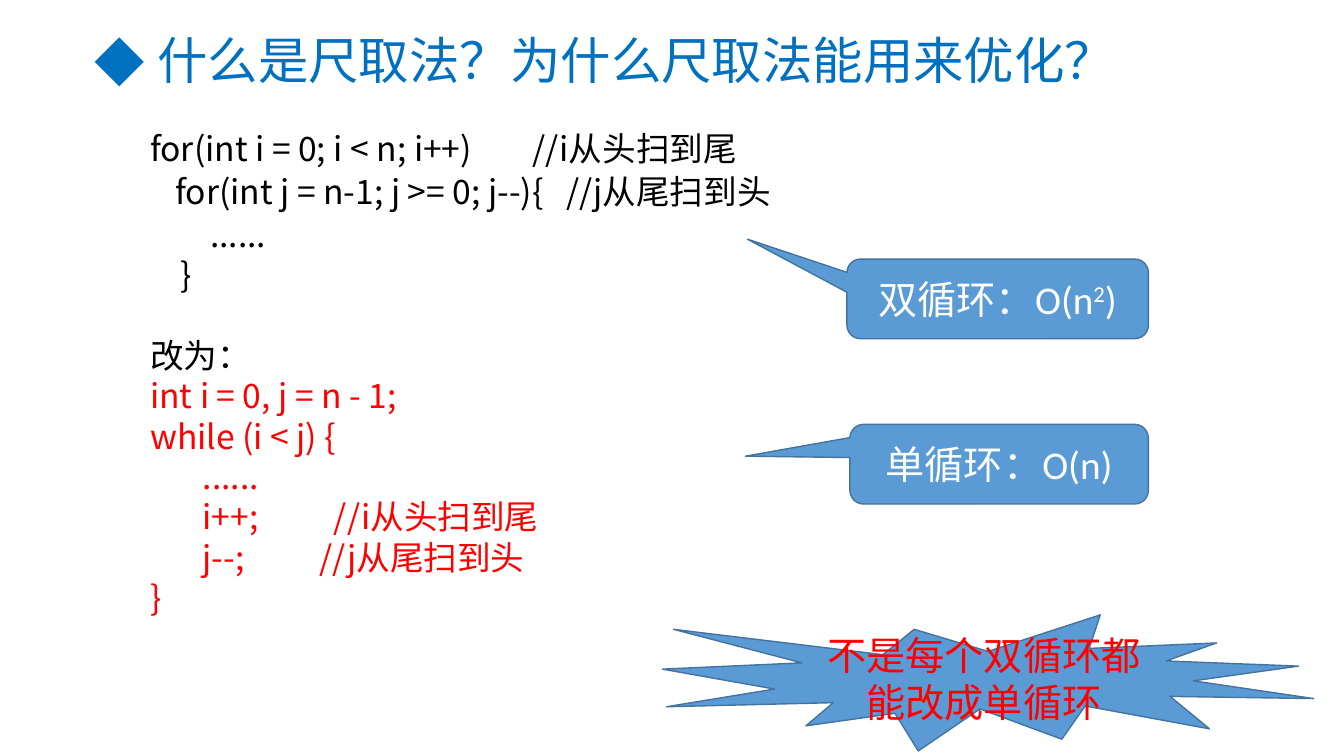
from lxml import etree
from pptx import Presentation
from pptx.dml.color import RGBColor
from pptx.enum.shapes import MSO_SHAPE as SHAPE
from pptx.enum.text import MSO_ANCHOR as ANCHOR, PP_ALIGN as ALIGN
from pptx.oxml.ns import qn
from pptx.util import Inches, Pt

BLUE = RGBColor(0x00, 0x70, 0xC0)
FILL = RGBColor(0x5B, 0x9B, 0xD5)
EDGE = RGBColor(0x43, 0x73, 0x9E)
RED = RGBColor(0xFF, 0x00, 0x00)
BLACK = RGBColor(0x00, 0x00, 0x00)
WHITE = RGBColor(0xFF, 0xFF, 0xFF)

NESTED_LOOP = [
    "for(int i = 0; i < n; i++)        //i从头扫到尾",
    "for(int j = n-1; j >= 0; j--){   //j从尾扫到头",
    "        ......",
]
SINGLE_LOOP = [
    "int i = 0, j = n - 1;",
    "while (i < j) {",
    "       ......",
    "       i++;          //i从头扫到尾",
    "       j--;          //j从尾扫到头",
    "}",
]


def add_run(p, text, size=28, color=WHITE, font="Calibri", baseline=None):
    """Append a formatted run to a paragraph."""
    r = p.add_run()
    r.text = text
    r.font.size = Pt(size)
    r.font.name = font
    r.font.color.rgb = color
    rPr = r.font._element
    etree.SubElement(rPr, qn("a:ea")).set("typeface", "Noto Sans CJK SC")
    if baseline:
        rPr.set("baseline", str(baseline))


class SlideBuilder:
    """Hold the slide and its style, and add each kind of element."""

    def __init__(self, prs):
        self.slide = prs.slides.add_slide(prs.slide_layouts[5])
        self.code_font = "Noto Sans CJK SC"

    def title(self, text):
        """Fill the title placeholder with a diamond-bulleted heading."""
        sp = self.slide.shapes.title
        sp.left, sp.top = Inches(0.84), Inches(0.05)
        sp.width, sp.height = Inches(11.5), Inches(1.15)
        tf = sp.text_frame
        tf.word_wrap = True
        tf.vertical_anchor = ANCHOR.MIDDLE
        p = tf.paragraphs[0]
        p.alignment = ALIGN.LEFT
        p.line_spacing = 0.9
        pPr = p._p.get_or_add_pPr()
        pPr.set("marL", str(Inches(0.62)))
        pPr.set("indent", str(-Inches(0.62)))
        etree.SubElement(pPr, qn("a:buFont")).set("typeface", "Noto Sans CJK SC")
        etree.SubElement(pPr, qn("a:buChar")).set("char", "◆")
        add_run(p, text, size=36, color=BLUE)

    def code(self, left, top, width, height):
        """Add the nested loop and its single-loop replacement."""
        sp = self.slide.shapes.add_textbox(
            Inches(left), Inches(top), Inches(width), Inches(height))
        tf = sp.text_frame
        tf.word_wrap = True
        lines = [(text, BLACK) for text in NESTED_LOOP + ["    }", "改为："]]
        lines += [(text, RED) for text in SINGLE_LOOP]
        for i, (text, color) in enumerate(lines):
            p = tf.paragraphs[0] if i == 0 else tf.add_paragraph()
            if i < len(NESTED_LOOP):
                p.alignment = ALIGN.JUSTIFY
                p.line_spacing = 1.07
            if i == 1:
                p._p.get_or_add_pPr().set("indent", str(Inches(0.25)))
            if text == "改为：":
                p.space_before = Pt(28.8)
            add_run(p, text, size=24, color=color, font=self.code_font)

    def shape(self, kind, box, runs, color=WHITE, adjustments=()):
        """Add a filled preset shape with centred text."""
        sp = self.slide.shapes.add_shape(kind, *(Inches(v) for v in box))
        sp.shadow.inherit = False
        sp.fill.solid()
        sp.fill.fore_color.rgb = FILL
        sp.line.color.rgb = EDGE
        sp.line.width = Pt(1)
        for i, value in enumerate(adjustments):
            sp.adjustments[i] = value
        tf = sp.text_frame
        tf.word_wrap = True
        tf.vertical_anchor = ANCHOR.MIDDLE
        p = tf.paragraphs[0]
        p.alignment = ALIGN.CENTER
        for text, baseline in runs:
            add_run(p, text, color=color, baseline=baseline)


def main():
    """Build the slide and save it."""
    prs = Presentation()
    prs.slide_width, prs.slide_height = Inches(13.33), Inches(7.5)
    s = SlideBuilder(prs)
    s.title("什么是尺取法？为什么尺取法能用来优化？")
    s.code(1.39, 1.19, 10.39, 5.44)
    s.shape(SHAPE.ROUNDED_RECTANGULAR_CALLOUT, (8.4, 2.57, 2.99, 0.79),
            [("双循环：O(n", None), ("2", 30000), (")", None)],
            adjustments=(-0.83, -0.75, 0.17))
    s.shape(SHAPE.ROUNDED_RECTANGULAR_CALLOUT, (8.43, 4.21, 2.96, 0.79),
            [("单循环：O(n)", None)], adjustments=(-0.85, -0.1, 0.17))
    s.shape(SHAPE.EXPLOSION1, (6.57, 6.1, 6.46, 1.35),
            [("不是每个双循环都能改成单循环", None)], color=RED)
    prs.save("out.pptx")


if __name__ == "__main__":
    main()
